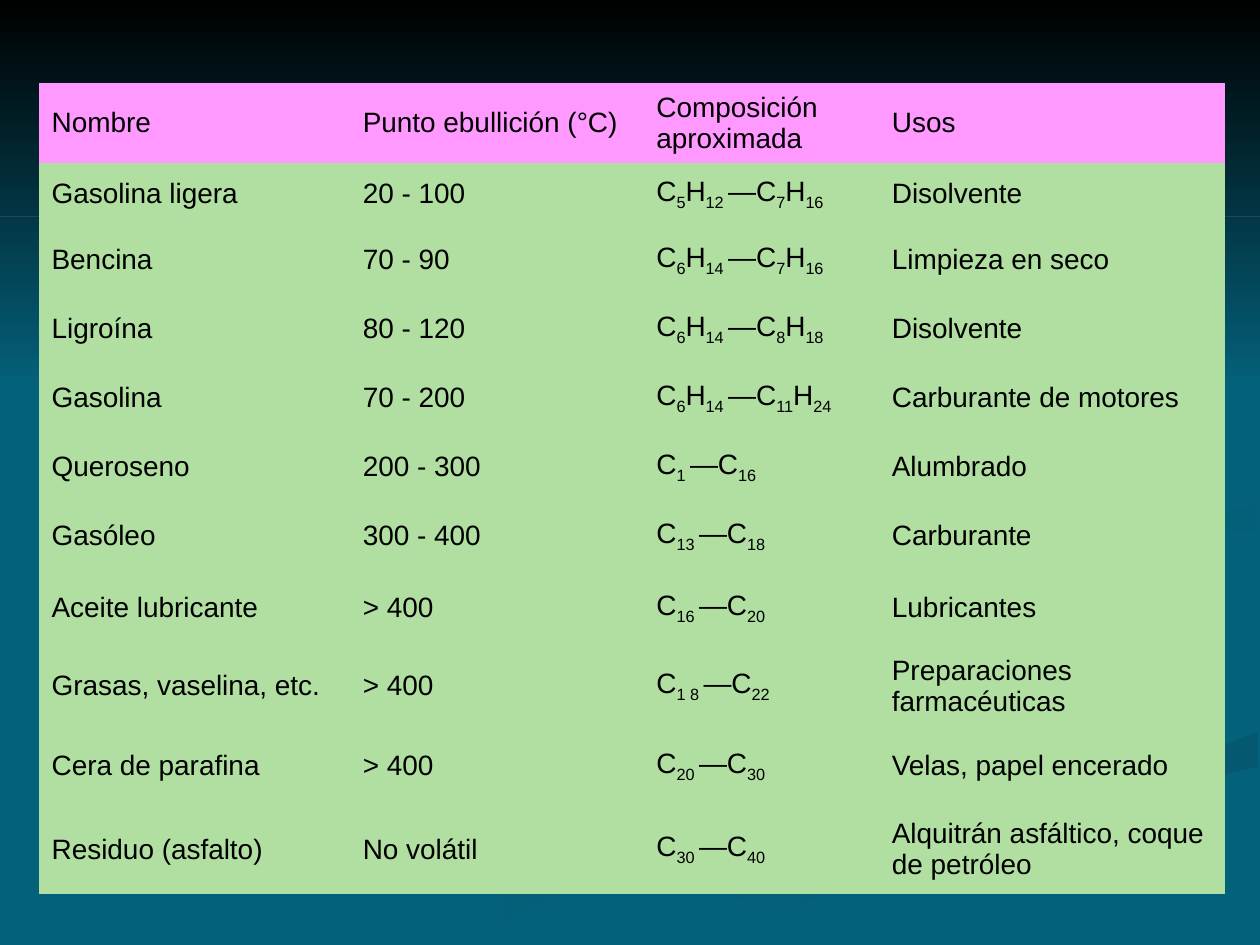
from pptx import Presentation
from pptx.dml.color import RGBColor
from pptx.enum.shapes import MSO_SHAPE
from pptx.enum.text import MSO_ANCHOR
from pptx.util import Pt

# Content: underscores switch subscript on and off
HEADER = ("Nombre", "Punto ebullición (°C)", "Composición aproximada", "Usos")
FRACTIONS = [
    ("Gasolina ligera", "20 - 100", "C_5_H_12 _—C_7_H_16", "Disolvente"),
    ("Bencina", "70 - 90", "C_6_H_14 _—C_7_H_16", "Limpieza en seco"),
    ("Ligroína", "80 - 120", "C_6_H_14 _—C_8_H_18", "Disolvente"),
    ("Gasolina", "70 - 200", "C_6_H_14 _—C_11_H_24", "Carburante de motores"),
    ("Queroseno", "200 - 300", "C_1 _—C_16", "Alumbrado"),
    ("Gasóleo", "300 - 400", "C_13 _—C_18", "Carburante"),
    ("Aceite lubricante", "> 400", "C_16 _—C_20", "Lubricantes"),
    ("Grasas, vaselina, etc.", "> 400", "C_1 8 _—C_22", "Preparaciones farmacéuticas"),
    ("Cera de parafina", "> 400", "C_20 _—C_30", "Velas, papel encerado"),
    ("Residuo (asfalto)", "No volátil", "C_30 _—C_40", "Alquitrán asfáltico, coque de petróleo"),
]
COLORS = {
    "sea": "04617B", "deep": "045971", "night": "000000", "rule": "FFCC99",
    "header": "FF99FF", "body": "B0DFA1", "text": "000000",
}
FONT = {"name": "Arial", "size": Pt(16)}
NO_GRID_STYLE = "{2D5ABB26-0587-4C30-8999-92F81FD0307C}"

# Geometry in points
WIDTH, HEIGHT = 720, 540
TABLE_LEFT, TABLE_TOP = 22.3, 47.5
COL_WIDTHS = (177.8, 167.8, 134.6, 197.3)
ROW_HEIGHTS = (45.5, 36, 39.4, 39.4, 39.4, 39.4, 39.2, 43.2, 46.6, 44.8, 50.4)

# Background ribbons: first colour, last colour, angle, outline
RIBBONS = [
    ("sea", "deep", 0, [
        (563, 398), (526, 383), (460, 365), (429, 352), (414, 338), (414, 330),
        (410, 340), (423, 350), (454, 364), (514, 382), (559, 398), (566, 407),
        (562, 417), (546, 425), (504, 438), (417, 460), (330, 485), (271, 509),
        (216, 539), (260, 539), (335, 504), (406, 478), (487, 456), (544, 442),
        (570, 430), (576, 418), (570, 404)]),
    ("deep", "sea", 270, [
        (374, 538), (362, 539), (411, 539), (442, 523), (482, 506), (541, 484),
        (620, 461), (719, 438), (719, 418), (693, 428), (624, 446), (550, 466),
        (477, 490), (410, 518)]),
    ("deep", "sea", 315, [
        (563, 331), (564, 341), (575, 348), (595, 357), (582, 348), (580, 340),
        (587, 332), (607, 323), (646, 313), (719, 302), (719, 289), (647, 301),
        (591, 312), (570, 322)]),
]


def rgb(key):
    return RGBColor.from_string(COLORS[key])


def paint(fill, key):
    fill.solid()
    fill.fore_color.rgb = rgb(key)


def paint_gradient(sp, first, last, angle):
    sp.fill.gradient()
    sp.fill.gradient_angle = angle
    for stop, key in zip(sp.fill.gradient_stops, (first, last)):
        stop.color.rgb = rgb(key)


def plain(sp):
    sp.shadow.inherit = False
    sp.line.fill.background()
    return sp


def add_rect(shapes, top, height):
    return plain(shapes.add_shape(MSO_SHAPE.RECTANGLE, 0, Pt(top), Pt(WIDTH), Pt(height)))


def write_cell(cell, text, fill):
    paint(cell.fill, fill)
    cell.vertical_anchor = MSO_ANCHOR.MIDDLE
    p = cell.text_frame.paragraphs[0]
    for i, part in enumerate(text.split("_")):
        if not part:
            continue
        r = p.add_run()
        r.text = part
        for key, value in FONT.items():
            setattr(r.font, key, value)
        r.font.color.rgb = rgb("text")
        if i % 2:
            r._r.get_or_add_rPr().set("baseline", "-25000")


def main():
    prs = Presentation()
    prs.slide_width, prs.slide_height = Pt(WIDTH), Pt(HEIGHT)
    s = prs.slides.add_slide(prs.slide_layouts[6])
    paint(s.background.fill, "sea")

    # Ribbons, sky and horizon line
    for first, last, angle, points in RIBBONS:
        outline = s.shapes.build_freeform(*points[0], scale=Pt(1))
        outline.add_line_segments(points[1:], close=True)
        paint_gradient(plain(outline.convert_to_shape()), first, last, angle)
    paint_gradient(add_rect(s.shapes, 0, 221.8), "night", "sea", 270)
    paint(add_rect(s.shapes, 123.8, 0).fill, "rule")

    # Table of petroleum fractions
    rows = [HEADER] + FRACTIONS
    frame = s.shapes.add_table(
        len(rows), len(HEADER), Pt(TABLE_LEFT), Pt(TABLE_TOP),
        Pt(sum(COL_WIDTHS)), Pt(sum(ROW_HEIGHTS)))
    table = frame.table
    table.first_row = table.horz_banding = False
    table._tbl.tblPr[0].text = NO_GRID_STYLE
    for col, width in zip(table.columns, COL_WIDTHS):
        col.width = Pt(width)
    for i, (row, height, texts) in enumerate(zip(table.rows, ROW_HEIGHTS, rows)):
        row.height = Pt(height)
        for cell, text in zip(row.cells, texts):
            write_cell(cell, text, "body" if i else "header")

    prs.save("out.pptx")


if __name__ == "__main__":
    main()
